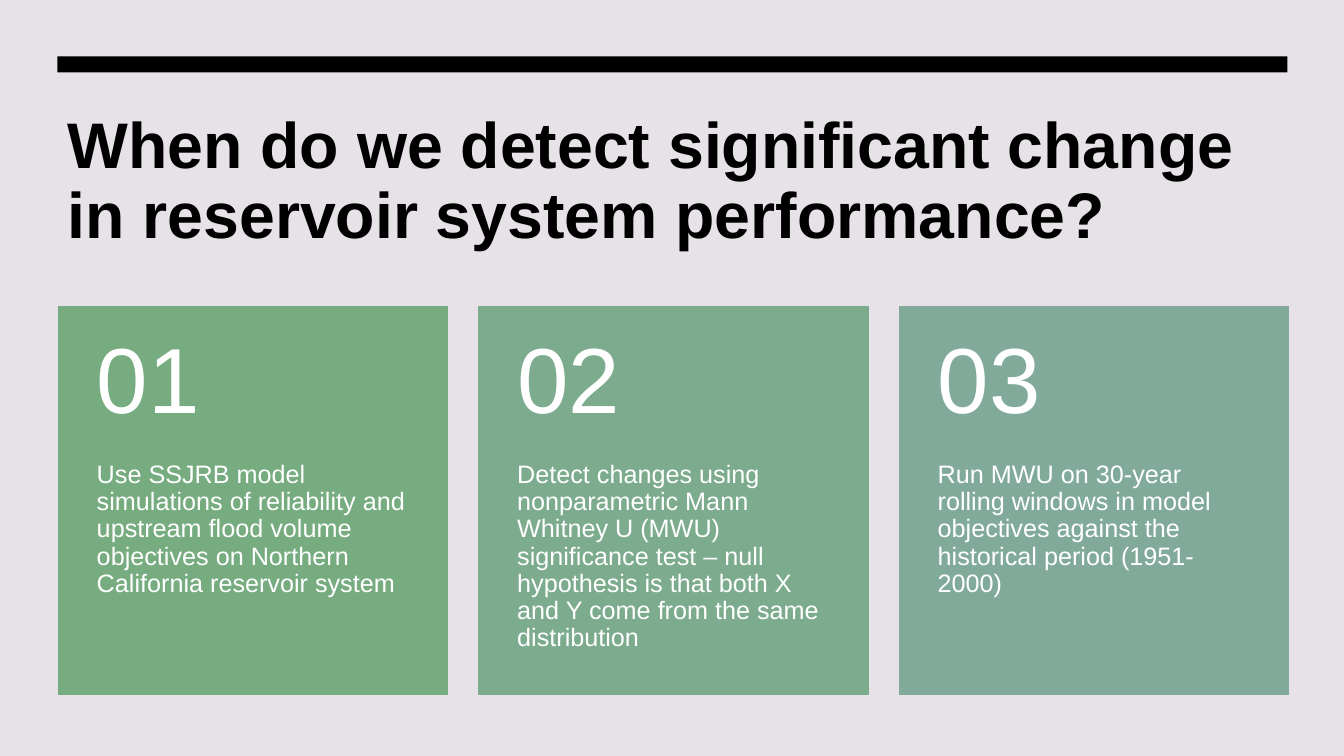
"""Build a slide with a headline and three numbered step cards."""
from dataclasses import dataclass

import pptx
import pptx.dml.color
import pptx.enum.shapes
import pptx.enum.text
import pptx.shapes.autoshape
import pptx.slide
import pptx.text.text
import pptx.util

Inches = pptx.util.Inches
MSO_ANCHOR = pptx.enum.text.MSO_ANCHOR


@dataclass(frozen=True)
class Theme:
    font: str = "Arial"
    background: str = "E7E2E8"
    ink: str = "000000"
    card_text: str = "FFFFFF"
    title_size: int = 46
    number_size: int = 66
    body_size: int = 18
    line_spacing: float = 0.9


@dataclass(frozen=True)
class Box:
    left: float
    top: float
    width: float
    height: float

    def lengths(self) -> tuple:
        return tuple(Inches(v) for v in (self.left, self.top, self.width, self.height))


@dataclass(frozen=True)
class Card:
    color: str
    text: str


THEME = Theme()
CARDS = (
    Card("76AC80", "Use SSJRB model simulations of reliability and upstream flood "
                   "volume objectives on Northern California reservoir system"),
    Card("7CAB8E", "Detect changes using nonparametric Mann Whitney U (MWU) "
                   "significance test – null hypothesis is that both X and Y come "
                   "from the same distribution"),
    Card("81AA9A", "Run MWU on 30-year rolling windows in model objectives against "
                   "the historical period (1951-2000)"),
)
CARD_LEFT, CARD_TOP, CARD_PITCH = 0.58, 3.04, 4.17
CARD_WIDTH, CARD_HEIGHT, NUMBER_HEIGHT = 3.86, 3.85, 1.54
SIDE_INSET = 0.38


def rgb(value: str) -> pptx.dml.color.RGBColor:
    return pptx.dml.color.RGBColor.from_string(value)


def write(tf: pptx.text.text.TextFrame, text: str, size: int, color: str,
          anchor: MSO_ANCHOR, bold: bool = False) -> None:
    tf.text = text
    tf.word_wrap = True
    tf.auto_size = pptx.enum.text.MSO_AUTO_SIZE.NONE
    tf.vertical_anchor = anchor
    p = tf.paragraphs[0]
    p.alignment = pptx.enum.text.PP_ALIGN.LEFT
    p.line_spacing = THEME.line_spacing
    p.font.name = THEME.font
    p.font.size = pptx.util.Pt(size)
    p.font.bold = bold
    p.font.color.rgb = rgb(color)


def add_rect(shapes, box: Box, color: str) -> pptx.shapes.autoshape.Shape:
    sp = shapes.add_shape(pptx.enum.shapes.MSO_SHAPE.RECTANGLE, *box.lengths())
    sp.shadow.inherit = False
    sp.fill.solid()
    sp.fill.fore_color.rgb = rgb(color)
    sp.line.fill.background()
    return sp


def add_card_text(shapes, box: Box, text: str, size: int, anchor: MSO_ANCHOR,
                  inset_top: float, inset_bottom: float) -> None:
    tf = shapes.add_textbox(*box.lengths()).text_frame
    tf.margin_left = tf.margin_right = Inches(SIDE_INSET)
    tf.margin_top, tf.margin_bottom = Inches(inset_top), Inches(inset_bottom)
    write(tf, text, size, THEME.card_text, anchor)


def add_card(slide: pptx.slide.Slide, index: int, card: Card) -> None:
    left = CARD_LEFT + index * CARD_PITCH
    shapes = slide.shapes.add_group_shape().shapes
    sp = add_rect(shapes, Box(left, CARD_TOP, CARD_WIDTH, CARD_HEIGHT), card.color)
    sp.line.color.rgb = rgb(card.color)
    sp.line.width = pptx.util.Pt(1)
    body = Box(left, CARD_TOP + NUMBER_HEIGHT, CARD_WIDTH, CARD_HEIGHT - NUMBER_HEIGHT)
    add_card_text(shapes, body, card.text, THEME.body_size, MSO_ANCHOR.TOP, 0, 0.36)
    number = Box(left, CARD_TOP, CARD_WIDTH, NUMBER_HEIGHT)
    add_card_text(shapes, number, f"{index + 1:02d}", THEME.number_size,
                  MSO_ANCHOR.MIDDLE, 0.18, 0.18)


def main() -> None:
    prs = pptx.Presentation()
    prs.slide_width, prs.slide_height = Inches(13.33), Inches(7.5)
    slide = prs.slides.add_slide(prs.slide_layouts.get_by_name("Title Only"))
    slide.background.fill.solid()
    slide.background.fill.fore_color.rgb = rgb(THEME.background)

    title = slide.shapes.title
    title.left, title.top, title.width, title.height = Box(0.57, 1.07, 12.2, 1.79).lengths()
    write(title.text_frame,
          "When do we detect significant change in reservoir system performance?",
          THEME.title_size, THEME.ink, MSO_ANCHOR.TOP, bold=True)
    add_rect(slide.shapes, Box(0.57, 0.56, 12.2, 0.16), THEME.ink)
    for index, card in enumerate(CARDS):
        add_card(slide, index, card)
    prs.save("out.pptx")


if __name__ == "__main__":
    main()
